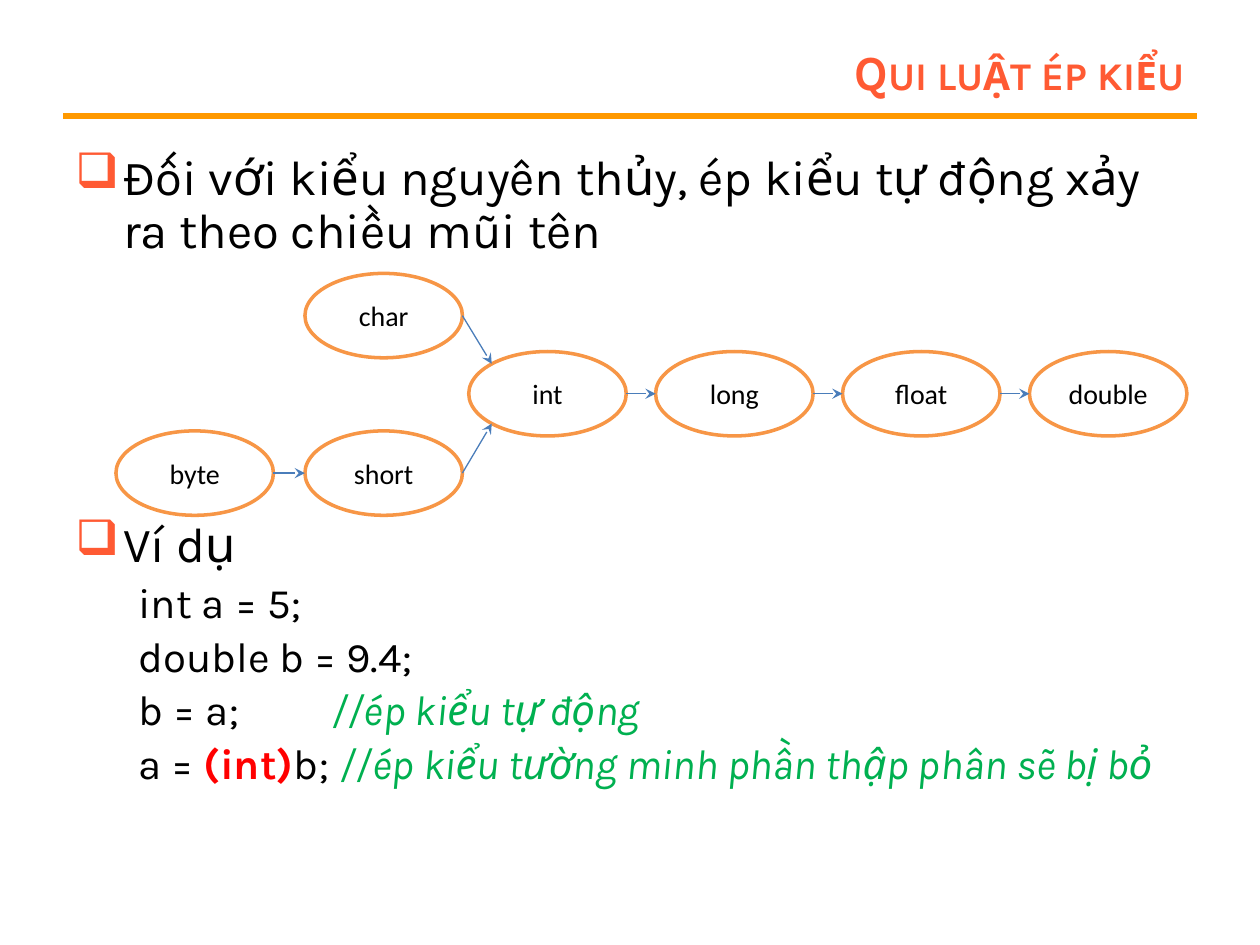
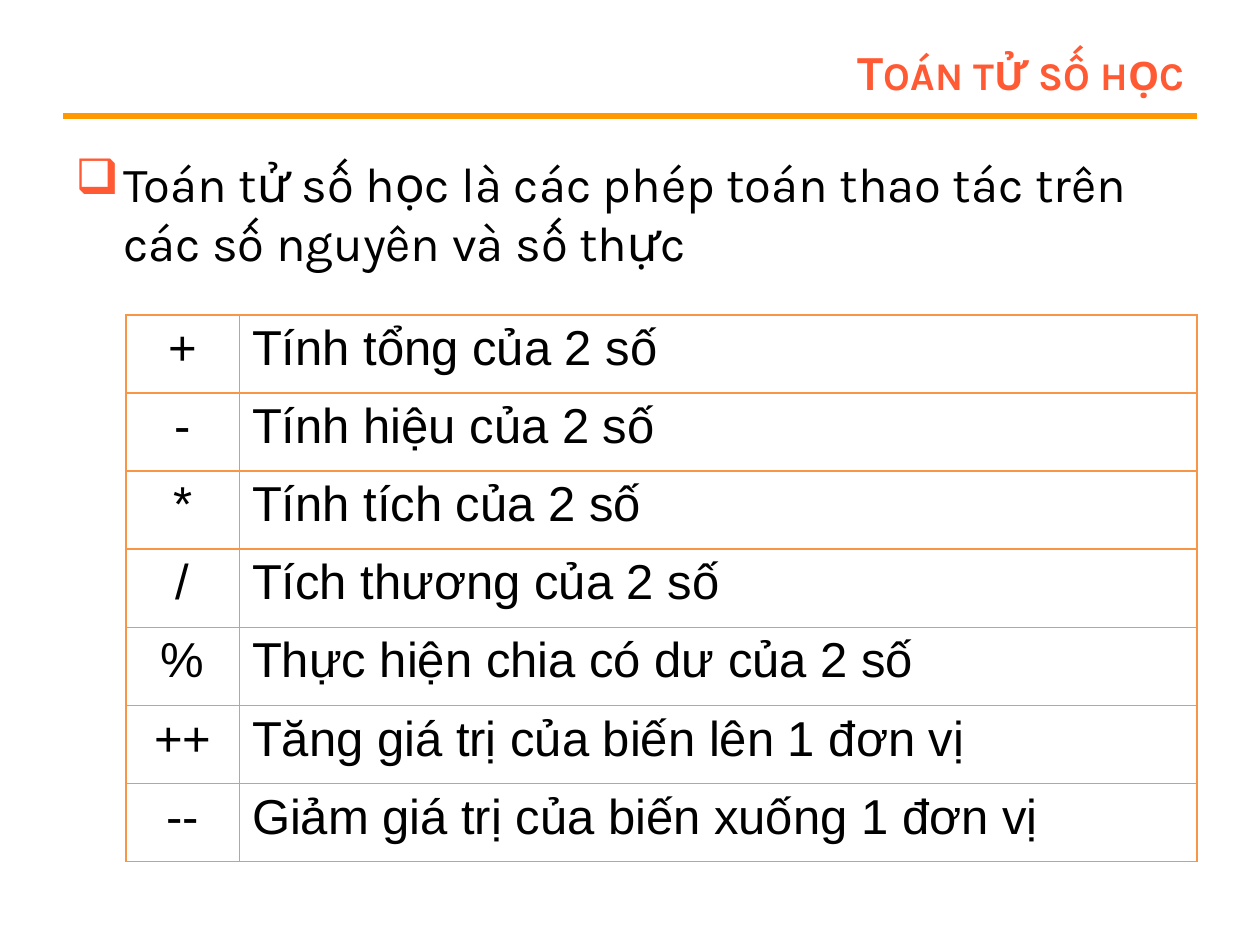
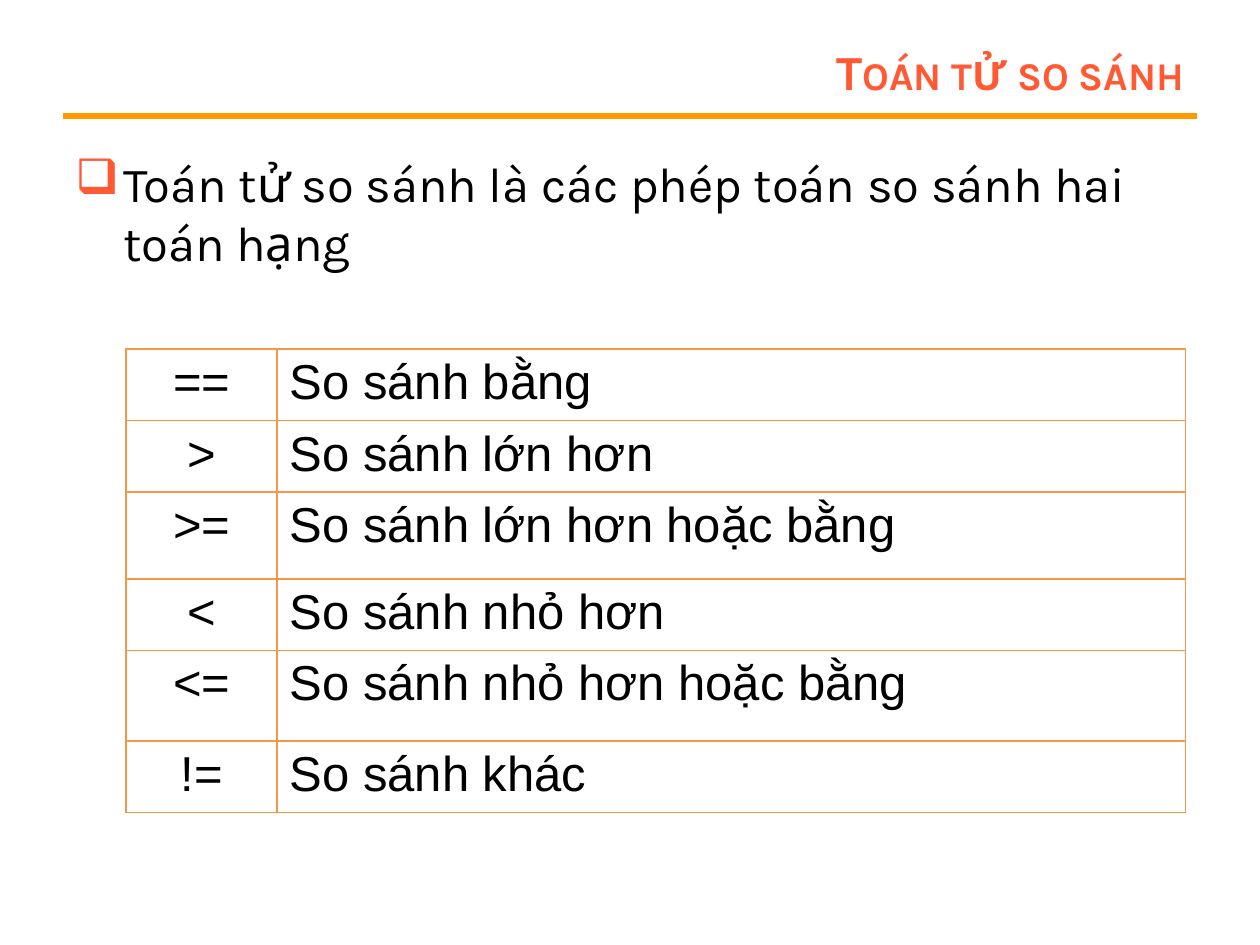
from math import sqrt

from lxml import etree
from pptx import Presentation
from pptx.dml.color import RGBColor
from pptx.enum.shapes import MSO_CONNECTOR, MSO_SHAPE
from pptx.enum.text import MSO_ANCHOR, PP_ALIGN
from pptx.oxml.ns import qn
from pptx.util import Inches, Pt

STRAIGHT = MSO_CONNECTOR.STRAIGHT
ELLIPSE = MSO_SHAPE.OVAL
MIDDLE, TOP = MSO_ANCHOR.MIDDLE, MSO_ANCHOR.TOP
LEFT, CENTER, RIGHT = PP_ALIGN.LEFT, PP_ALIGN.CENTER, PP_ALIGN.RIGHT

COLORS = {
    "title": "FF5A33", "rule": "FF9900", "border": "F79646", "arrow": "4A7DBA",
    "text": "000000", "paper": "FFFFFF", "comment": "00B050", "cast": "FF0000",
}
BODY_FONT, TABLE_FONT, NODE_FONT = "Karla", "Arial", "Calibri"

# Content: a run is either plain text or (text, format)
COMMENT = {"color": "comment", "italic": True}
CASTING = {
    "title": "Qui luật ép kiểu",
    "bullets": ["Đối với kiểu nguyên thủy, ép kiểu tự động xảy ra theo chiều mũi tên", "Ví dụ"],
    "code": [
        ["int a = 5;"],
        ["double b = 9.4;"],
        ["b = a;\t", ("//ép kiểu tự động", COMMENT)],
        ["a = ", ("(int)", {"color": "cast", "bold": True}), "b; ",
         ("//ép kiểu tường minh phần thập phân sẽ bị bỏ", COMMENT)],
    ],
}
OPERATOR_SLIDES = [
    {
        "title": "Toán tử số học",
        "bullet": "Toán tử số học là các phép toán thao tác trên các số nguyên và số thực",
        "body_height": 5.75, "top": 2.5, "columns": (0.9, 7.6), "heights": [0.62] * 7,
        "rows": [
            ("+", "Tính tổng của 2 số"),
            ("-", "Tính hiệu của 2 số"),
            ("*", "Tính tích của 2 số"),
            ("/", "Tích thương của 2 số"),
            ("%", "Thực hiện chia có dư của 2 số"),
            ("++", "Tăng giá trị của biến lên 1 đơn vị"),
            ("--", "Giảm giá trị của biến xuống 1 đơn vị"),
        ],
    },
    {
        "title": "Toán tử so sánh",
        "bullet": "Toán tử so sánh là các phép toán so sánh hai toán hạng",
        "body_height": 1.17, "top": 2.77, "columns": (1.2, 7.21),
        "heights": [0.53, 0.53, 0.69, 0.53, 0.72, 0.53],
        "rows": [
            ("==", "So sánh bằng"),
            (">", "So sánh lớn hơn"),
            (">=", "So sánh lớn hơn hoặc bằng"),
            ("<", "So sánh nhỏ hơn"),
            ("<=", "So sánh nhỏ hơn hoặc bằng"),
            ("!=", "So sánh khác"),
        ],
    },
]

# Type diagram: top left corner of each ellipse, then the conversions
NODE_WIDTH, NODE_HEIGHT = 1.25, 0.67
CHAIN, CHAIN_LEFT, CHAIN_TOP = ["int", "long", "float", "double"], 3.72, 2.79
CHAIN_STEP = (8.17 - CHAIN_LEFT) / 3
NODES = {"char": (2.42, 2.17), "short": (2.42, 3.42), "byte": (0.92, 3.42)}
NODES.update({name: (CHAIN_LEFT + i * CHAIN_STEP, CHAIN_TOP) for i, name in enumerate(CHAIN)})
ARROWS = [("byte", "short"), ("short", "int"), ("char", "int"), *zip(CHAIN, CHAIN[1:])]


def rgb(name):
    return RGBColor.from_string(COLORS[name])


def write(paragraph, runs, *, size, font=BODY_FONT, color="text", bold=False, italic=False,
          small_caps=False, align=LEFT, spacing=1.0, before=0, bullet=False):
    paragraph.alignment = align
    paragraph.line_spacing = spacing
    paragraph.space_before = Pt(before)
    if bullet:
        properties = paragraph._p.get_or_add_pPr()
        properties.set("marL", str(Inches(0.38)))
        properties.set("indent", str(-Inches(0.38)))
        bullet_color = etree.SubElement(properties, qn("a:buClr"))
        etree.SubElement(bullet_color, qn("a:srgbClr"), val=COLORS["title"])
        etree.SubElement(properties, qn("a:buChar"), char="❑")
    for part in [runs] if isinstance(runs, str) else runs:
        text, changes = (part, {}) if isinstance(part, str) else part
        run = paragraph.add_run()
        run.text = text
        run.font.name, run.font.size = font, Pt(size)
        run.font.bold = changes.get("bold", bold)
        run.font.italic = changes.get("italic", italic)
        run.font.color.rgb = rgb(changes.get("color", color))
        if small_caps:
            run._r.get_or_add_rPr().set("cap", "small")


def add_line(slide, start, end, color, width, arrow=False):
    line = slide.shapes.add_connector(STRAIGHT, *map(Inches, (*start, *end)))
    line.line.color.rgb = rgb(color)
    line.line.width = Pt(width)
    if arrow:
        etree.SubElement(line.line._get_or_add_ln(), qn("a:tailEnd"), type="stealth")
    etree.SubElement(line._element.spPr, qn("a:effectLst"))


def add_text_box(slide, left, top, width, height):
    frame = slide.shapes.add_textbox(*map(Inches, (left, top, width, height))).text_frame
    frame.word_wrap = True
    return frame


def add_slide(presentation, title):
    slide = presentation.slides.add_slide(presentation.slide_layouts[5])
    add_line(slide, (0.5, 0.92), (9.5, 0.92), "rule", 3)
    heading = slide.shapes.title
    heading.left, heading.top, heading.width, heading.height = map(Inches, (2.25, 0.3, 7.25, 0.53))
    heading.text_frame.vertical_anchor = MIDDLE
    write(heading.text_frame.paragraphs[0], title, size=28, color="title", bold=True,
          small_caps=True, align=RIGHT)
    return slide


def add_node(slide, name):
    left, top = NODES[name]
    node = slide.shapes.add_shape(ELLIPSE, *map(Inches, (left, top, NODE_WIDTH, NODE_HEIGHT)))
    node.shadow.inherit = False
    node.fill.solid()
    node.fill.fore_color.rgb = rgb("paper")
    node.line.color.rgb = rgb("border")
    node.line.width = Pt(2)
    node.text_frame.vertical_anchor = MIDDLE
    write(node.text_frame.paragraphs[0], name, size=16, font=NODE_FONT, align=CENTER)


def add_arrow(slide, source, target):
    """Run from the right of the source to the nearest left point of the target."""
    (source_left, source_top), (left, top) = NODES[source], NODES[target]
    start = (source_left + NODE_WIDTH, source_top + NODE_HEIGHT / 2)
    end_x, end_y = left, top + NODE_HEIGHT / 2
    if source_top != top:
        end_x += NODE_WIDTH / 2 * (1 - sqrt(0.5))
        end_y += NODE_HEIGHT / 2 * sqrt(0.5) * (1 if source_top > top else -1)
    add_line(slide, start, (end_x, end_y), "arrow", 0.75, arrow=True)


def add_operator_table(slide, content):
    rows, columns, heights = content["rows"], content["columns"], content["heights"]
    frame = slide.shapes.add_table(len(rows), len(columns), Inches(1), Inches(content["top"]),
                                   Inches(sum(columns)), Inches(sum(heights)))
    table = frame.table
    table.first_row = table.horz_banding = False
    for column, width in zip(table.columns, columns):
        column.width = Inches(width)
    for row, height, texts in zip(table.rows, heights, rows):
        row.height = Inches(height)
        for cell, text, align in zip(row.cells, texts, (CENTER, LEFT)):
            cell.vertical_anchor = TOP
            write(cell.text_frame.paragraphs[0], text, size=28, font=TABLE_FONT, align=align)
            properties = cell._tc.get_or_add_tcPr()
            for side in ("a:lnL", "a:lnR", "a:lnT", "a:lnB"):
                border = etree.SubElement(properties, qn(side), w=str(Pt(1)))
                fill = etree.SubElement(border, qn("a:solidFill"))
                etree.SubElement(fill, qn("a:srgbClr"), val=COLORS["border"])
            cell.fill.background()


def build_casting_slide(presentation):
    slide = add_slide(presentation, CASTING["title"])
    body = add_text_box(slide, 0.5, 1.17, 9, 3.4)
    first, example = CASTING["bullets"]
    write(body.paragraphs[0], first, size=28, spacing=0.9, bullet=True)
    # The space above the example holds the diagram
    write(body.add_paragraph(), example, size=28, spacing=0.9, before=149, bullet=True)

    code = add_text_box(slide, 1, 4.57, 8.5, 2.35)
    for i, runs in enumerate(CASTING["code"]):
        paragraph = code.add_paragraph() if i else code.paragraphs[0]
        write(paragraph, runs, size=24, spacing=0.9, before=4.8 if i else 0)
        tabs = etree.SubElement(paragraph._p.get_or_add_pPr(), qn("a:tabLst"))
        etree.SubElement(tabs, qn("a:tab"), pos=str(Inches(1.53)), algn="l")

    for name in NODES:
        add_node(slide, name)
    for source, target in ARROWS:
        add_arrow(slide, source, target)


def build_operator_slide(presentation, content):
    slide = add_slide(presentation, content["title"])
    body = add_text_box(slide, 0.5, 1.17, 9, content["body_height"])
    write(body.paragraphs[0], content["bullet"], size=28, bullet=True)
    add_operator_table(slide, content)


def main():
    presentation = Presentation()
    presentation.slide_width, presentation.slide_height = Inches(10), Inches(7.5)
    build_casting_slide(presentation)
    for content in OPERATOR_SLIDES:
        build_operator_slide(presentation, content)
    presentation.save("out.pptx")


if __name__ == "__main__":
    main()
